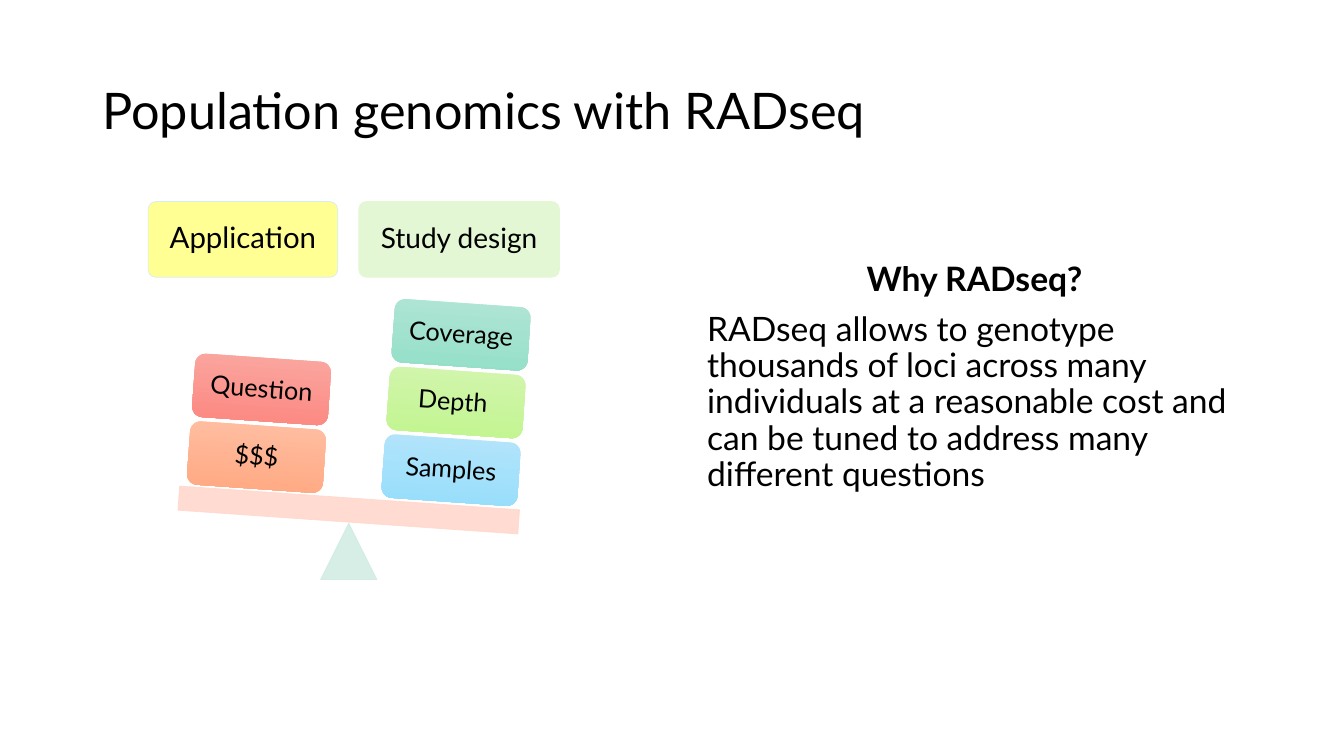
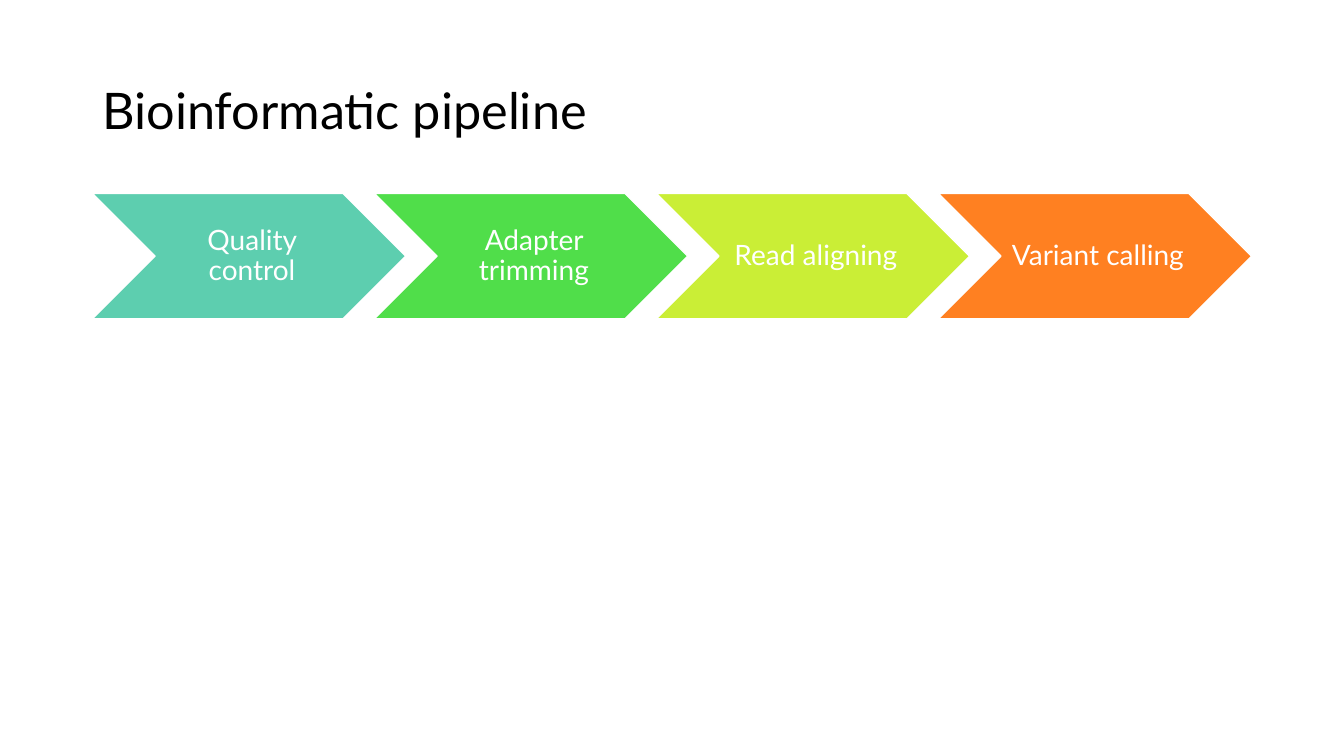
"""Build two slides on RADseq: a study-design seesaw and a bioinformatic pipeline."""
import lxml.etree
import pptx
import pptx.dml.color
import pptx.enum.shapes
import pptx.enum.text
import pptx.oxml.ns
import pptx.util

SHAPES = pptx.enum.shapes.MSO_SHAPE
ALIGN = pptx.enum.text.PP_ALIGN
ANCHOR = pptx.enum.text.MSO_ANCHOR
Pt = pptx.util.Pt
qn = pptx.oxml.ns.qn

BLACK, WHITE = "000000", "FFFFFF"
BOX_MARGINS = (7.2, 3.6, 7.2, 3.6)
TITLES = ("Population genomics with RADseq", "Bioinformatic pipeline")
CONTENT_LEFT, CONTENT_WIDTH = 5.5, 69
TILT = 4

presentation = pptx.Presentation()
presentation.slide_width = pptx.util.Inches(13.33)
presentation.slide_height = pptx.util.Inches(7.5)
COLUMN = presentation.slide_width / 80
ROW = presentation.slide_height / 45


def paint(fill, *colours):
    """Fill with one hex colour, or with a downward gradient between two."""
    if len(colours) == 1:
        fill.solid()
        fill.fore_color.rgb = pptx.dml.color.RGBColor.from_string(colours[0])
        return
    fill.gradient()
    fill.gradient_angle = 270
    for stop, colour in zip(fill.gradient_stops, colours):
        stop.color.rgb = pptx.dml.color.RGBColor.from_string(colour)


def place(slide, kind, columns, rows, lines=(), size=18, colour=BLACK,
          margins=None, anchor=ANCHOR.MIDDLE, alignment=ALIGN.CENTER):
    """Add a shape, or a text box if kind is None, at (start, length) grid spans."""
    box = [round(length) for length in (columns[0] * COLUMN, rows[0] * ROW,
                                        columns[1] * COLUMN, rows[1] * ROW)]
    if kind is None:
        shape = slide.shapes.add_textbox(*box)
    else:
        shape = slide.shapes.add_shape(kind, *box)
        shape.shadow.inherit = False
        shape.line.fill.background()
    frame = shape.text_frame
    left, top, right, bottom = margins or (size * 0.3,) * 4
    frame_format = {"word_wrap": True, "vertical_anchor": anchor,
                    "margin_left": Pt(left), "margin_top": Pt(top),
                    "margin_right": Pt(right), "margin_bottom": Pt(bottom)}
    for name, value in frame_format.items():
        setattr(frame, name, value)
    frame.text = "\n".join(lines)
    for paragraph in frame.paragraphs:
        paragraph.alignment = alignment
        paragraph.line_spacing = 0.9
        for run in paragraph.runs:
            for name, value in {"name": "Lato", "size": Pt(size)}.items():
                setattr(run.font, name, value)
            paint(run.font.fill, colour)
    return shape


slides = []
for title in TITLES:
    slide = presentation.slides.add_slide(presentation.slide_layouts[6])
    paint(slide.background.fill, WHITE)
    place(slide, None, (CONTENT_LEFT, CONTENT_WIDTH), (2.4, 8.7), [title], 36,
          margins=BOX_MARGINS, alignment=ALIGN.LEFT)
    slides.append(slide)
design_slide, pipeline_slide = slides

answer = place(design_slide, None, (41.5, 33), (15.3, 15.84),
               ["Why RADseq?",
                "RADseq allows to genotype thousands of loci across many individuals "
                "at a reasonable cost and can be tuned to address many different questions"],
               24, margins=BOX_MARGINS, anchor=ANCHOR.TOP, alignment=ALIGN.LEFT)
heading, explanation = answer.text_frame.paragraphs
heading.alignment = ALIGN.CENTER
heading.runs[0].font.bold = True
heading.space_before = explanation.space_before = Pt(10)

seesaw_parts = [
    (SHAPES.ROUNDED_RECTANGLE, (8.82, 11.28), (12, 4.5), ["Application"], 21, "FFFF00", "D2ECFA", 42, 0),
    (SHAPES.ROUNDED_RECTANGLE, (21.36, 11.94), (12, 4.5), ["Study design"], 20, "E1F7D1", "E1F7D1", 90, 0),
    (SHAPES.ISOSCELES_TRIANGLE, (19.08, 3.36), (31.14, 3.36), [], 18, "D2EDE3", "D2EDE3", 90, 0),
    (SHAPES.RECTANGLE, (10.62, 20.28), (29.64, 1.44), [], 18, "FFD8CD", "FFD8CD", 90, TILT),
]
for kind, columns, rows, lines, size, colour, edge, opacity, rotation in seesaw_parts:
    part = place(design_slide, kind, columns, rows, lines, size)
    part.rotation = rotation
    if kind == SHAPES.ROUNDED_RECTANGLE:
        part.adjustments[0] = 0.1
    paint(part.fill, colour)
    paint(part.line.fill, edge)
    part.line.width = Pt(0.5)
    tints = part._element.spPr.iter(qn("a:srgbClr"))
    for tint, percent in zip(list(tints), (opacity, 90)):
        lxml.etree.SubElement(tint, qn("a:alpha"), val=str(percent * 1000))

stacks = [
    [("$$$", "FFBFA3", "FFA881"), ("Question", "FAA8A2", "FB877F")],
    [("Samples", "B5E5FB", "95DDFB"), ("Depth ", "D2F5AF", "C2F58F"),
     ("Coverage", "B1E5D5", "93DFC7")],
]
for side, stack in enumerate(stacks):
    for level, (label, light, dark) in enumerate(stack):
        block = place(design_slide, SHAPES.ROUNDED_RECTANGLE,
                      (11.22 + 11.58 * side + 0.3 * level, 8.1),
                      (25.32 + 0.78 * side - 4.03 * level, 3.78), [label])
        block.rotation = TILT
        paint(block.fill, light, dark)

steps = [("Quality control", "5DCEAF"), ("Adapter trimming", "50DE4A"),
         ("Read aligning", "CAEE36"), ("Variant calling ", "FF8021")]
pitch = 0.9
chevron_width = CONTENT_WIDTH / (1 + pitch * (len(steps) - 1))
for index, (label, colour) in enumerate(steps):
    chevron = place(pipeline_slide, SHAPES.CHEVRON,
                    (CONTENT_LEFT + index * pitch * chevron_width, chevron_width),
                    (11.52, 0.4 * chevron_width), [label], 20, WHITE, (6.3, 2.1, 2.1, 2.1))
    paint(chevron.fill, colour)
    paint(chevron.line.fill, WHITE)
    chevron.line.width = Pt(1)

presentation.save("out.pptx")
